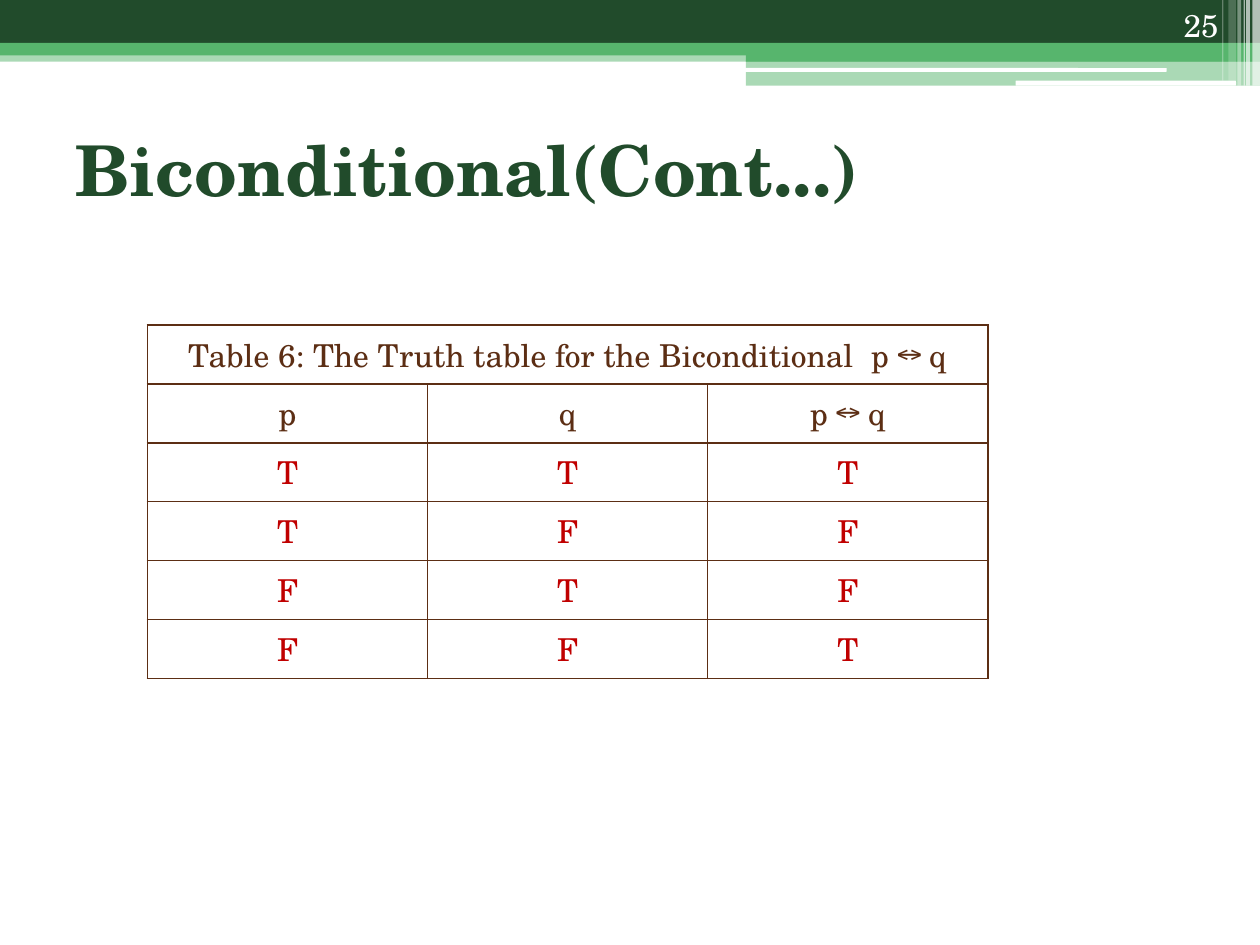
"""Build the biconditional truth table slide."""
from dataclasses import dataclass

from lxml.etree import SubElement
from pptx import Presentation
from pptx.dml.color import RGBColor
from pptx.enum.shapes import MSO_SHAPE
from pptx.enum.text import MSO_ANCHOR, PP_ALIGN
from pptx.oxml.ns import qn
from pptx.util import Inches, Pt

COLUMN = Inches(10) / 100
ROW = Inches(7.5) / 75


@dataclass(frozen=True)
class Theme:
    font: str = "TeX Gyre Schola"
    dark: str = "214B2B"
    green: str = "57B56D"
    white: str = "FFFFFF"
    brown: str = "5C2E14"
    red: str = "C00000"
    title_size: int = 40
    body_size: int = 18
    border_width: int = 1


@dataclass(frozen=True)
class Area:
    column: float
    row: float
    columns: float
    rows: float

    def lengths(self) -> tuple[int, int, int, int]:
        return (round(self.column * COLUMN), round(self.row * ROW),
                round(self.columns * COLUMN), round(self.rows * ROW))


@dataclass(frozen=True)
class Bar:
    area: Area
    color: str
    opacity: int = 100
    rounded: bool = False


THEME = Theme()
HEADER_BARS = [
    Bar(Area(0, 4, 100, 0.9), THEME.green, 50),
    Bar(Area(0, 0, 100, 3.4), THEME.dark),
    Bar(Area(0, 3.4, 100, 1), THEME.green),
    Bar(Area(59.2, 3.9, 40.8, 1), THEME.green),
    Bar(Area(59.2, 4.8, 40.8, 2), THEME.green, 50),
    Bar(Area(59.1, 5.4, 33.5, 0.3), THEME.white, rounded=True),
    Bar(Area(80.6, 6.4, 17.5, 0.4), THEME.white, rounded=True),
]
STRIPES = [
    Bar(Area(column, 0, columns, rows), THEME.white, opacity)
    for column, columns, rows, opacity in [
        (99.4, 0.6, 6.8, 65), (98.9, 0.3, 6.8, 65), (98.7, 0.1, 6.8, 60),
        (98.2, 0.3, 6.8, 40), (97.5, 0.6, 6.4, 20), (97, 0.1, 6.4, 30)]
]
TITLE_AREA = Area(5, 7.5, 90, 11.7)
TABLE_AREA = Area(11.7, 25.8, 66.7, 24.3)
NUMBER_AREA = Area(89.4, 0, 8.3, 4)
CAPTION = "Table 6: The Truth table for the Biconditional  p ↔ q"
HEADINGS = ["p", "q", "p ↔ q"]
TRUTH_ROWS = ["TTT", "TFF", "FTF", "FFT"]


def add_bar(slide, bar: Bar) -> None:
    """Draw one flat bar of the header."""
    kind = MSO_SHAPE.ROUNDED_RECTANGLE if bar.rounded else MSO_SHAPE.RECTANGLE
    shape = slide.shapes.add_shape(kind, *bar.area.lengths())
    shape.shadow.inherit = False
    shape.line.fill.background()
    shape.fill.solid()
    shape.fill.fore_color.rgb = RGBColor.from_string(bar.color)
    if bar.opacity < 100:
        color = shape.fill._xPr.find(qn("a:solidFill"))[0]
        SubElement(color, qn("a:alpha"), val=str(bar.opacity * 1000))


def write(frame, text: str, size: int, color: str, align: PP_ALIGN,
          anchor: MSO_ANCHOR, bold: bool = False) -> None:
    """Write one formatted run into a text frame."""
    frame.word_wrap = True
    frame.vertical_anchor = anchor
    para = frame.paragraphs[0]
    para.alignment = align
    span = para.add_run()
    span.text = text
    span.font.name = THEME.font
    span.font.size = Pt(size)
    span.font.bold = bold
    span.font.color.rgb = RGBColor.from_string(color)


def format_cell(cell) -> None:
    """Give a cell thin brown borders and no fill."""
    properties = cell._tc.get_or_add_tcPr()
    for side in ("lnL", "lnR", "lnT", "lnB"):
        line = SubElement(properties, qn(f"a:{side}"), w=str(Pt(THEME.border_width)))
        SubElement(SubElement(line, qn("a:solidFill")), qn("a:srgbClr"), val=THEME.brown)
    cell.fill.background()


def add_truth_table(slide, area: Area) -> None:
    """Draw the captioned truth table."""
    rows = [[CAPTION], HEADINGS, *TRUTH_ROWS]
    table = slide.shapes.add_table(len(rows), len(HEADINGS), *area.lengths()).table
    table.first_row = False
    table.horz_banding = False
    for cell in table.iter_cells():
        format_cell(cell)
    table.cell(0, 0).merge(table.cell(0, len(HEADINGS) - 1))
    for row, texts in enumerate(rows):
        color = THEME.red if row > 1 else THEME.brown
        for column, text in enumerate(texts):
            write(table.cell(row, column).text_frame, text, THEME.body_size,
                  color, PP_ALIGN.CENTER, MSO_ANCHOR.TOP)


def main() -> None:
    """Assemble and save the slide."""
    deck = Presentation()
    deck.slide_width, deck.slide_height = Inches(10), Inches(7.5)
    page = deck.slides.add_slide(deck.slide_layouts[5])
    for bar in HEADER_BARS + STRIPES:
        add_bar(page, bar)
    title = page.shapes.title
    title.left, title.top, title.width, title.height = TITLE_AREA.lengths()
    write(title.text_frame, "Biconditional(Cont...)", THEME.title_size,
          THEME.dark, PP_ALIGN.LEFT, MSO_ANCHOR.MIDDLE, bold=True)
    add_truth_table(page, TABLE_AREA)
    number = page.shapes.add_textbox(*NUMBER_AREA.lengths())
    write(number.text_frame, "25", THEME.body_size, THEME.white,
          PP_ALIGN.RIGHT, MSO_ANCHOR.BOTTOM)
    deck.save("out.pptx")


if __name__ == "__main__":
    main()
